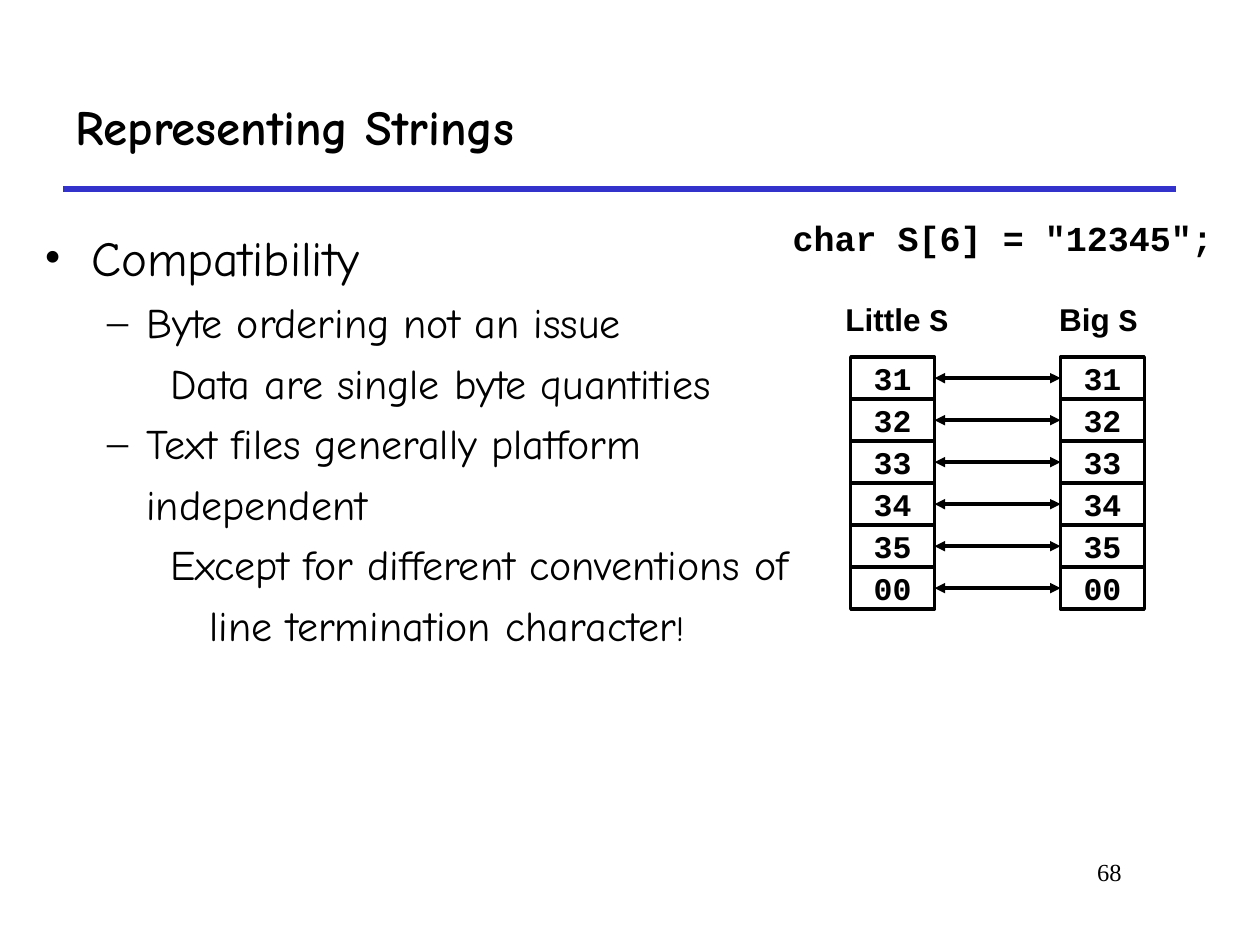
from lxml.etree import SubElement
from pptx import Presentation
from pptx.dml.color import RGBColor
from pptx.enum.shapes import MSO_CONNECTOR, MSO_SHAPE
from pptx.enum.text import MSO_ANCHOR, PP_ALIGN
from pptx.oxml.ns import qn
from pptx.util import Cm, Pt

BLACK = RGBColor(0, 0, 0)
WHITE = RGBColor(255, 255, 255)
BLUE = RGBColor(0x33, 0x33, 0xCC)
HAND, SANS, MONO, SERIF = "Comic Neue", "Arial", "Courier New", "Times New Roman"

TITLE = "Representing Strings"
CODE = 'char S[6] = "12345";'
PAGE = "68"
BYTES = ["31", "32", "33", "34", "35", "00"]
# Column label, label centre, left edge of the cells
STACKS = [("Little ", 18.08, 17.15), ("Big ", 22.14, 21.38)]
# Level, list of (text, size)
POINTS = [
    (0, [("Compatibility", 28)]),
    (1, [("Byte ordering not an issue", 24)]),
    (2, [("Data are single byte quantities", 24)]),
    (1, [("Text files generally platform independent", 24)]),
    (2, [("Except for different conventions of line termination character", 24),
         ("!", 20)]),
]
# Left margin, first-line indent and bullet of each level
LEVELS = [(0.95, -0.95, "•"), (2.06, -0.79, "–"), (3.33, -0.79, None)]

TOP, WIDE, HIGH = 7.2, 1.69, 5.08 / 6

deck = Presentation()
deck.slide_width, deck.slide_height = Cm(25.4), Cm(19.05)
slide = deck.slides.add_slide(deck.slide_layouts[6])
shapes = slide.shapes


def add_run(para, text, size, face, bold=False):
    """Append a formatted run to a paragraph."""
    run = para.add_run()
    run.text = text
    font = run.font
    font.size, font.name, font.bold = Pt(size), face, bold
    font.color.rgb = BLACK


def add_text(box, runs, align=PP_ALIGN.LEFT, wrap=True, anchor=MSO_ANCHOR.TOP):
    """Add a one-paragraph text box; runs hold text, size, face and bold."""
    frame = shapes.add_textbox(*map(Cm, box)).text_frame
    frame.word_wrap, frame.vertical_anchor = wrap, anchor
    para = frame.paragraphs[0]
    para.alignment = align
    for run in runs:
        add_run(para, *run)


def add_line(start, end, color, width, heads=False):
    """Draw a straight line, with arrowheads at both ends on request."""
    line = shapes.add_connector(MSO_CONNECTOR.STRAIGHT, *map(Cm, start + end))
    line.line.color.rgb, line.line.width = color, Pt(width)
    if heads:
        stroke = line.line._get_or_add_ln()
        for tag in ("a:headEnd", "a:tailEnd"):
            SubElement(stroke, qn(tag), type="triangle")
    SubElement(line._element.spPr, qn("a:effectLst"))


def add_cell(left, top, text):
    """Draw one byte of memory."""
    cell = shapes.add_shape(MSO_SHAPE.RECTANGLE, *map(Cm, (left, top, WIDE, HIGH)))
    cell.shadow.inherit = False
    cell.fill.solid()
    cell.fill.fore_color.rgb = WHITE
    cell.line.color.rgb, cell.line.width = BLACK, Pt(2)
    frame = cell.text_frame
    frame.word_wrap, frame.vertical_anchor = False, MSO_ANCHOR.MIDDLE
    para = frame.paragraphs[0]
    para.alignment = PP_ALIGN.CENTER
    add_run(para, text, 18, MONO, True)


def add_points(box):
    """Write the bullet list."""
    frame = shapes.add_textbox(*map(Cm, box)).text_frame
    frame.word_wrap = True
    for i, (level, runs) in enumerate(POINTS):
        para = frame.add_paragraph() if i else frame.paragraphs[0]
        para.level, para.line_spacing = level, 1.2
        margin, indent, mark = LEVELS[level]
        props = para._p.get_or_add_pPr()
        props.set("marL", str(Cm(margin)))
        props.set("indent", str(Cm(indent)))
        if mark:
            SubElement(props, qn("a:buFont"), typeface=SERIF)
            SubElement(props, qn("a:buChar"), char=mark)
        else:
            SubElement(props, qn("a:buNone"))
        for text, size in runs:
            add_run(para, text, size, HAND)


add_line((1.27, 3.81), (23.7, 3.81), BLUE, 3)
add_text((1.27, 1.27, 22.43, 2.54), [(TITLE, 28, HAND, True)],
         anchor=MSO_ANCHOR.MIDDLE)
add_text((19.25, 17.15, 3.61, 1.27), [(PAGE, 14, SERIF)], PP_ALIGN.RIGHT)
add_text((14.4, 4.23, 11.64, 1.48), [(CODE, 20, MONO, True)], PP_ALIGN.CENTER)
add_points((0.64, 4.23, 16.08, 12.5))

for label, mid, left in STACKS:
    add_text((mid - 1.37, 5.93, 2.74, 1.02),
             [(label, 18, SANS, True), ("S", 18, MONO, True)],
             PP_ALIGN.CENTER, wrap=False)
    for row, value in enumerate(BYTES):
        add_cell(left, TOP + row * HIGH, value)

for row in range(len(BYTES)):
    y = TOP + (row + 0.5) * HIGH
    add_line((STACKS[0][2] + WIDE, y), (STACKS[1][2], y), BLACK, 2, heads=True)

deck.save("out.pptx")
